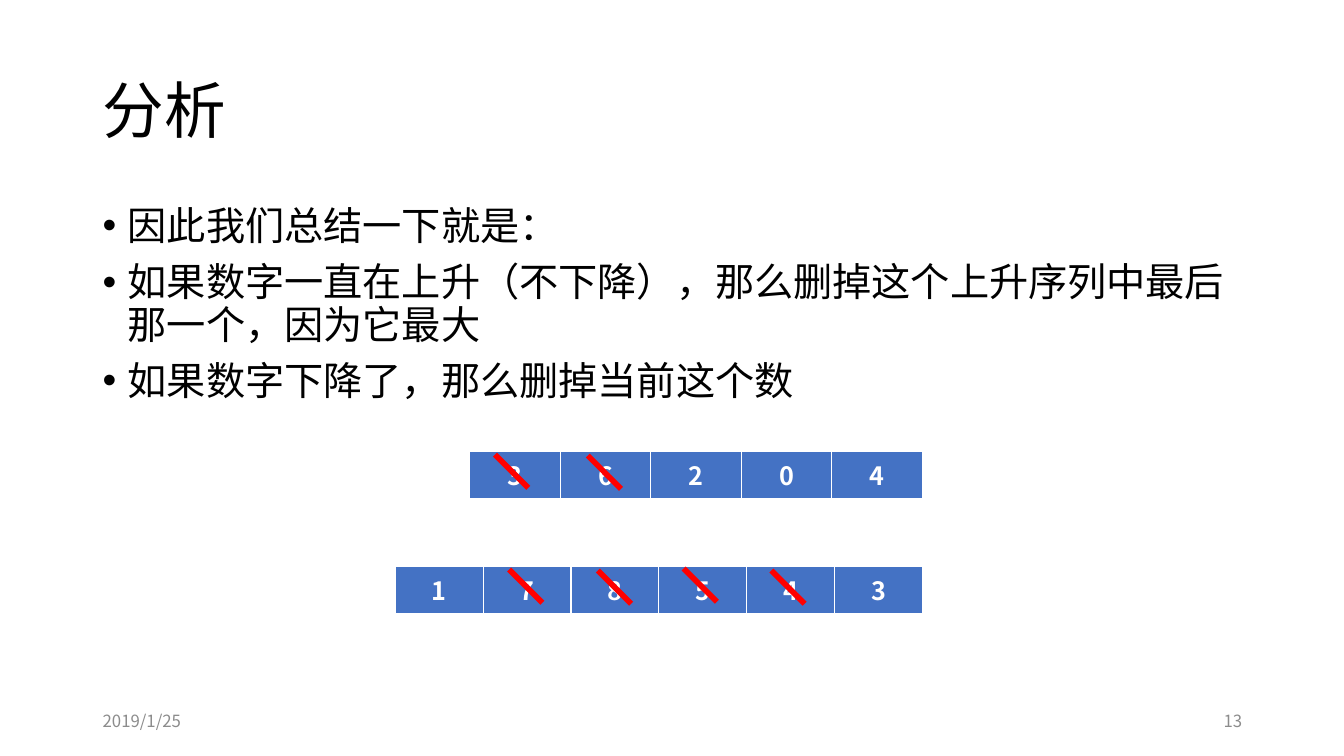
from dataclasses import dataclass

from lxml.etree import SubElement
from pptx import Presentation
from pptx.dml.color import RGBColor
from pptx.enum.shapes import MSO_CONNECTOR as Connector
from pptx.enum.text import MSO_ANCHOR as Anchor, PP_ALIGN as Align
from pptx.oxml.ns import qn
from pptx.util import Inches, Pt


@dataclass(frozen=True)
class Theme:
    """Colours, font and type sizes of the slide."""
    font: str = "Noto Sans CJK SC"
    ink: str = "000000"
    muted: str = "8C8C8C"
    white: str = "FFFFFF"
    cell: str = "4472C4"
    strike: str = "FF0000"
    title: int = 44
    body: int = 28
    digit: int = 18
    footer: int = 12


THEME = Theme()
MARGIN = 0.92
CONTENT_WIDTH = 11.5
ROW_HEIGHT = 0.48
STRIKE_SPAN = 0.33
BORDERS = {"a:lnL": 1, "a:lnR": 1, "a:lnT": 1, "a:lnB": 3}


def add_run(paragraph, text, size, color, bold=False):
    """Append a styled run, with the font set for Latin and East Asian text."""
    run = paragraph.add_run()
    run.text = text
    run.font.name = THEME.font
    run.font.size = Pt(size)
    run.font.bold = bold
    run.font.color.rgb = RGBColor.from_string(color)
    SubElement(run.font._element, qn("a:ea"), typeface=THEME.font)


def add_frame(slide, left, top, width, height, anchor=Anchor.MIDDLE):
    """Add a wrapping text box and return its text frame."""
    box = slide.shapes.add_textbox(Inches(left), Inches(top), Inches(width), Inches(height))
    frame = box.text_frame
    frame.word_wrap = True
    frame.vertical_anchor = anchor
    return frame


def add_label(slide, place, text, size, color, align=Align.LEFT, spacing=1.0):
    """Add a single line of text centred vertically in its place."""
    paragraph = add_frame(slide, *place).paragraphs[0]
    paragraph.alignment = align
    paragraph.line_spacing = spacing
    add_run(paragraph, text, size, color)


def add_bullets(slide, place, points):
    """Add a bulleted list with hanging indents."""
    frame = add_frame(slide, *place, anchor=Anchor.TOP)
    for index, point in enumerate(points):
        paragraph = frame.add_paragraph() if index else frame.paragraphs[0]
        paragraph.line_spacing = 0.9
        paragraph.space_before = Pt(10)
        properties = paragraph._p.get_or_add_pPr()
        properties.set("marL", str(Inches(0.25)))
        properties.set("indent", str(Inches(-0.25)))
        SubElement(properties, qn("a:buFont"), typeface="Arial")
        SubElement(properties, qn("a:buChar"), char="•")
        add_run(paragraph, point, THEME.body, THEME.ink)


def style_cell(cell):
    """Fill a cell and draw its white borders."""
    properties = cell._tc.get_or_add_tcPr()
    for side, weight in BORDERS.items():
        border = SubElement(properties, qn(side), w=str(Pt(weight)))
        SubElement(SubElement(border, qn("a:solidFill")), qn("a:srgbClr"), val=THEME.white)
    cell.fill.solid()
    cell.fill.fore_color.rgb = RGBColor.from_string(THEME.cell)


def add_digits(slide, left, top, width, digits):
    """Add a one-row table with one digit in each equal column."""
    table = slide.shapes.add_table(
        1, len(digits), Inches(left), Inches(top), Inches(width), Inches(ROW_HEIGHT)
    ).table
    table.horz_banding = False
    for cell, digit in zip(table.iter_cells(), digits):
        style_cell(cell)
        paragraph = cell.text_frame.paragraphs[0]
        paragraph.alignment = Align.CENTER
        add_run(paragraph, digit, THEME.digit, THEME.white, bold=True)


def add_strike(slide, left, top):
    """Cross out a digit with a diagonal line."""
    strike = slide.shapes.add_connector(
        Connector.STRAIGHT, Inches(left), Inches(top),
        Inches(left + STRIKE_SPAN), Inches(top + STRIKE_SPAN)
    )
    strike.line.color.rgb = RGBColor.from_string(THEME.strike)
    strike.line.width = Pt(4)
    SubElement(strike._element.spPr, qn("a:effectLst"))


def main():
    """Build the slide and save it."""
    deck = Presentation()
    deck.slide_width, deck.slide_height = Inches(13.33), Inches(7.5)
    slide = deck.slides.add_slide(deck.slide_layouts[6])

    add_label(slide, (MARGIN, 0.4, CONTENT_WIDTH, 1.45), "分析",
              THEME.title, THEME.ink, spacing=0.9)
    add_bullets(slide, (MARGIN, 2, CONTENT_WIDTH, 4.76), [
        "因此我们总结一下就是：",
        "如果数字一直在上升（不下降），那么删掉这个上升序列中最后那一个，因为它最大",
        "如果数字下降了，那么删掉当前这个数",
    ])
    add_label(slide, (MARGIN, 6.95, 3, 0.4), "2019/1/25", THEME.footer, THEME.muted)
    add_label(slide, (9.42, 6.95, 3, 0.4), "13", THEME.footer, THEME.muted, Align.RIGHT)

    sequences = [
        (4.66, 4.48, 4.49, "36204", [(4.91, 4.51), (5.83, 4.52)]),
        (3.92, 5.62, 5.23, "178543",
         [(5.05, 5.65), (5.93, 5.66), (6.78, 5.64), (7.65, 5.66)]),
    ]
    for left, top, width, digits, strikes in sequences:
        add_digits(slide, left, top, width, digits)
        for strike in strikes:
            add_strike(slide, *strike)

    deck.save("out.pptx")


if __name__ == "__main__":
    main()
